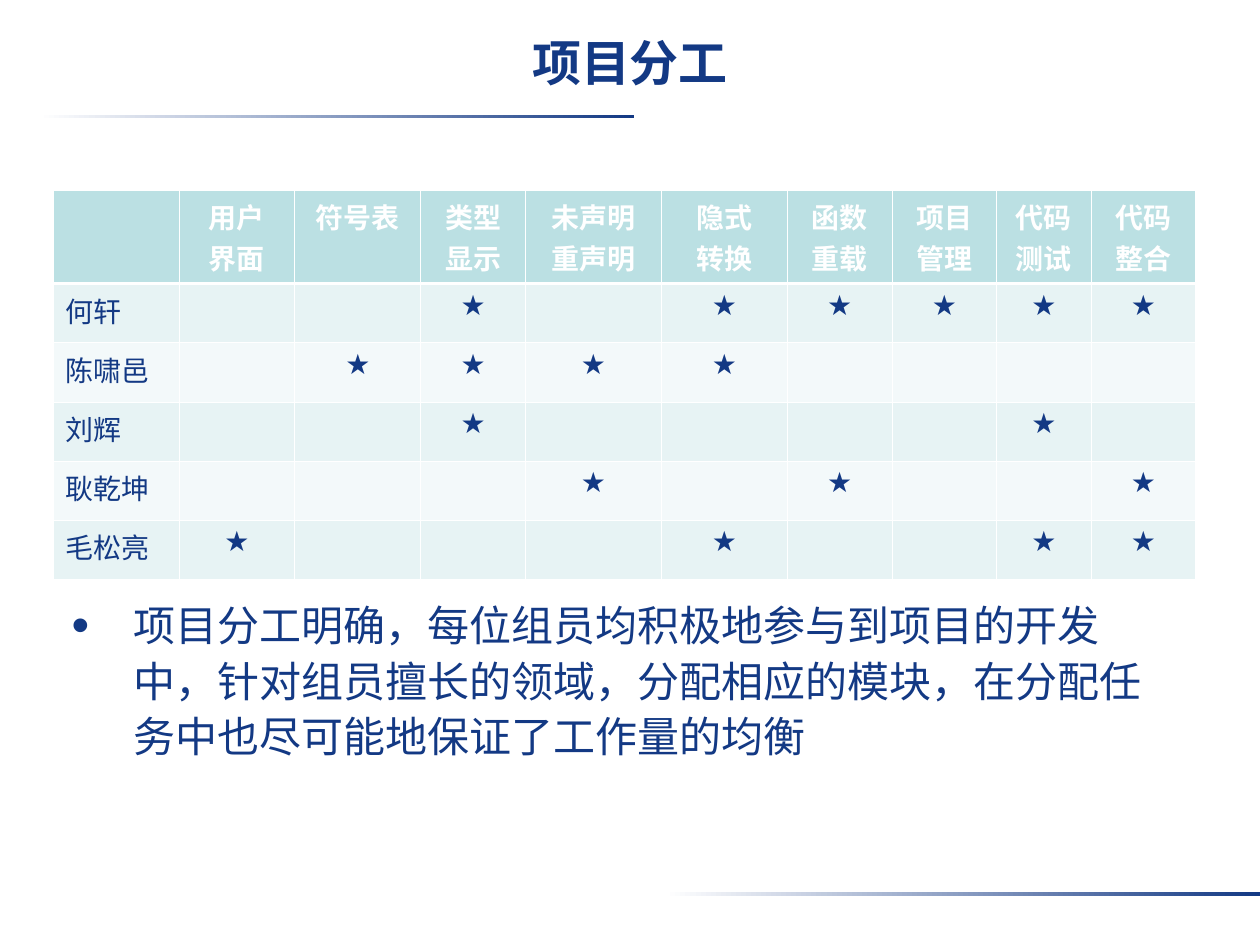
from dataclasses import dataclass

from lxml import etree
from pptx import Presentation
from pptx import util as u
from pptx.dml.color import RGBColor
from pptx.enum import shapes, text
from pptx.oxml import ns

WIDTH, HEIGHT = 10, 7.5
NAVY, WHITE = "133984", "FFFFFF"
HEADER_FILL, BANDS = "BBE0E3", ("E7F3F4", "F3F9FA")
CJK, LATIN = "Noto Sans CJK SC", "Arial"
STAR = "★"
THIN, THICK = 0.45, 1.47

HEADINGS = ("", "用户\n界面", "符号表", "类型\n显示", "未声明\n重声明",
            "隐式\n转换", "函数\n重载", "项目管理", "代码测试", "代码整合")
COLUMN_WIDTHS = (1, 0.92, 1, 0.83, 1.08, 1, 0.83, 0.83, 0.75, 0.83)
HEADER_HEIGHT, MEMBER_HEIGHT = 0.74, 0.47
SUMMARY = ("项目分工明确，每位组员均积极地参与到项目的开发中，针对组员擅长的领域，"
           "分配相应的模块，在分配任务中也尽可能地保证了工作量的均衡")


@dataclass(frozen=True)
class Box:
    left: float
    top: float
    width: float
    height: float

    def emu(self) -> tuple:
        return tuple(u.Inches(v) for v in (self.left, self.top, self.width, self.height))


@dataclass(frozen=True)
class Member:
    name: str
    tasks: tuple  # columns that carry a star


@dataclass(frozen=True)
class Style:
    size: float
    color: str = NAVY
    bold: bool = False
    latin: str = CJK
    east_asian: str = CJK


MEMBERS = (
    Member("何轩", (3, 5, 6, 7, 8, 9)),
    Member("陈啸邑", (2, 3, 4, 5)),
    Member("刘辉", (3, 8)),
    Member("耿乾坤", (4, 6, 9)),
    Member("毛松亮", (1, 5, 8, 9)),
)
RULES = (Box(0.31, 0.91, 4.72, 0.03), Box(5.28, 7.08, 4.72, 0.03))

TITLE_STYLE = Style(28, bold=True, latin=LATIN)
HEADING_STYLE = Style(16, WHITE, bold=True)
NAME_STYLE = Style(16)
STAR_STYLE = Style(16, latin=LATIN, east_asian=LATIN)
SUMMARY_STYLE = Style(24)


def rgb(value: str) -> RGBColor:
    return RGBColor.from_string(value)


def add_child(parent, tag: str, **attributes):
    child = etree.SubElement(parent, ns.qn(tag))
    for key, value in attributes.items():
        child.set(key, str(value))
    return child


def write(frame, content: str, style: Style, **paragraph_format) -> None:
    """Fill a text frame, one paragraph for each line of the content."""
    frame.text = content
    for paragraph in frame.paragraphs:
        for key, value in paragraph_format.items():
            setattr(paragraph, key, value)
        for run in paragraph.runs:
            font = run.font
            font.size, font.bold, font.name = u.Pt(style.size), style.bold, style.latin
            font.color.rgb = rgb(style.color)
            add_child(font._element, "a:ea", typeface=style.east_asian)


def add_rule(slide, box: Box) -> None:
    """Thin bar that fades in from white."""
    rule = slide.shapes.add_shape(shapes.MSO_SHAPE.RECTANGLE, *box.emu())
    rule.shadow.inherit = False
    rule.line.fill.background()
    rule.fill.gradient()
    rule.fill.gradient_angle = 0
    for stop, color, position in zip(rule.fill.gradient_stops, (WHITE, NAVY), (0, 1)):
        stop.color.rgb = rgb(color)
        stop.position = position


def paint_cell(cell, fill: str, top: float = THIN, bottom: float = THIN) -> None:
    properties = cell._tc.get_or_add_tcPr()
    for side, width in (("L", THIN), ("R", THIN), ("T", top), ("B", bottom)):
        border = add_child(properties, f"a:ln{side}", w=int(u.Pt(width)))
        add_child(add_child(border, "a:solidFill"), "a:srgbClr", val=WHITE)
    cell.fill.solid()
    cell.fill.fore_color.rgb = rgb(fill)


def add_assignments(slide, left: float, top: float) -> None:
    heights = [HEADER_HEIGHT] + [MEMBER_HEIGHT] * len(MEMBERS)
    box = Box(left, top, sum(COLUMN_WIDTHS), sum(heights))
    table = slide.shapes.add_table(len(heights), len(COLUMN_WIDTHS), *box.emu()).table
    for column, width in zip(table.columns, COLUMN_WIDTHS):
        column.width = u.Inches(width)
    for row, height in zip(table.rows, heights):
        row.height = u.Inches(height)

    center = text.PP_ALIGN.CENTER
    for column, heading in enumerate(HEADINGS):
        cell = table.cell(0, column)
        paint_cell(cell, HEADER_FILL, bottom=THICK)
        if heading:
            write(cell.text_frame, heading, HEADING_STYLE, alignment=center)

    for row, member in enumerate(MEMBERS, start=1):
        for column in range(len(HEADINGS)):
            cell = table.cell(row, column)
            paint_cell(cell, BANDS[(row - 1) % 2], top=THICK if row == 1 else THIN)
            if column in member.tasks:
                write(cell.text_frame, STAR, STAR_STYLE, alignment=center)
        write(table.cell(row, 0).text_frame, member.name, NAME_STYLE)


def set_title(slide, content: str, box: Box) -> None:
    title = slide.shapes.title
    title.left, title.top, title.width, title.height = box.emu()
    frame = title.text_frame
    settings = {"vertical_anchor": text.MSO_ANCHOR.TOP, "word_wrap": True,
                "auto_size": text.MSO_AUTO_SIZE.NONE,
                "margin_top": u.Inches(0.06), "margin_bottom": u.Inches(0.05)}
    for key, value in settings.items():
        setattr(frame, key, value)
    write(frame, content, TITLE_STYLE, alignment=text.PP_ALIGN.CENTER, line_spacing=1.0)


def add_summary(slide, box: Box) -> None:
    frame = slide.shapes.add_textbox(*box.emu()).text_frame
    frame.word_wrap = True
    write(frame, SUMMARY, SUMMARY_STYLE, line_spacing=1.1, space_before=u.Pt(6))
    properties = frame.paragraphs[0]._p.get_or_add_pPr()
    indent = int(u.Inches(0.49))
    for key, value in {"marL": indent, "indent": -indent, "hangingPunct": 0}.items():
        properties.set(key, str(value))
    add_child(add_child(properties, "a:buClr"), "a:srgbClr", val=NAVY)
    add_child(properties, "a:buSzPct", val=120000)
    add_child(properties, "a:buFont", typeface=LATIN)
    add_child(properties, "a:buChar", char="•")


def main() -> None:
    deck = Presentation()
    deck.slide_width, deck.slide_height = u.Inches(WIDTH), u.Inches(HEIGHT)
    slide = deck.slides.add_slide(deck.slide_layouts.get_by_name("Title Only"))
    for rule in RULES:
        add_rule(slide, rule)
    set_title(slide, "项目分工", Box(0, 0.2, WIDTH, HEIGHT / 10))
    add_assignments(slide, 0.42, 1.51)
    add_summary(slide, Box(0.47, 4.67, WIDTH * 0.9, 1.83))
    deck.save("out.pptx")


if __name__ == "__main__":
    main()
